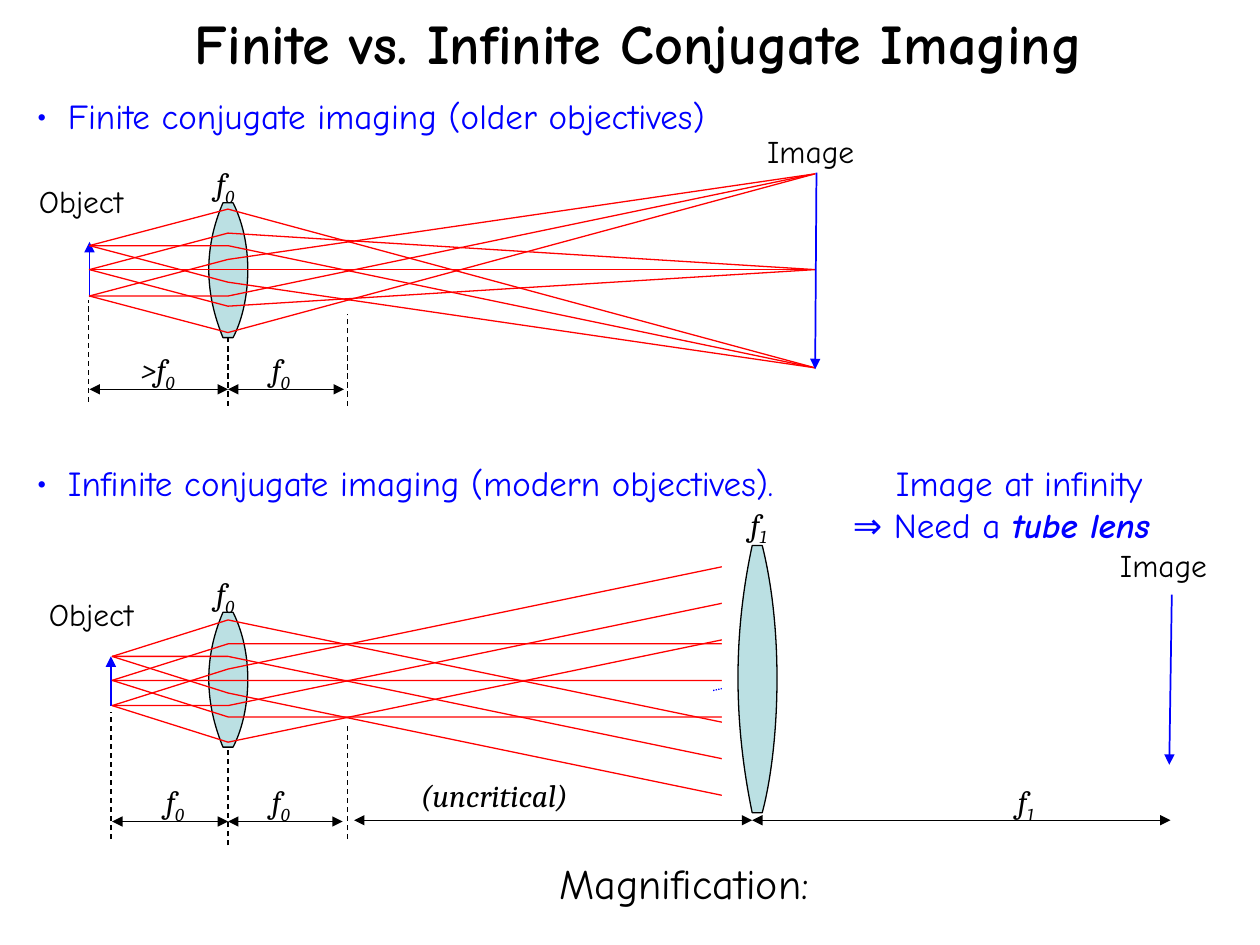
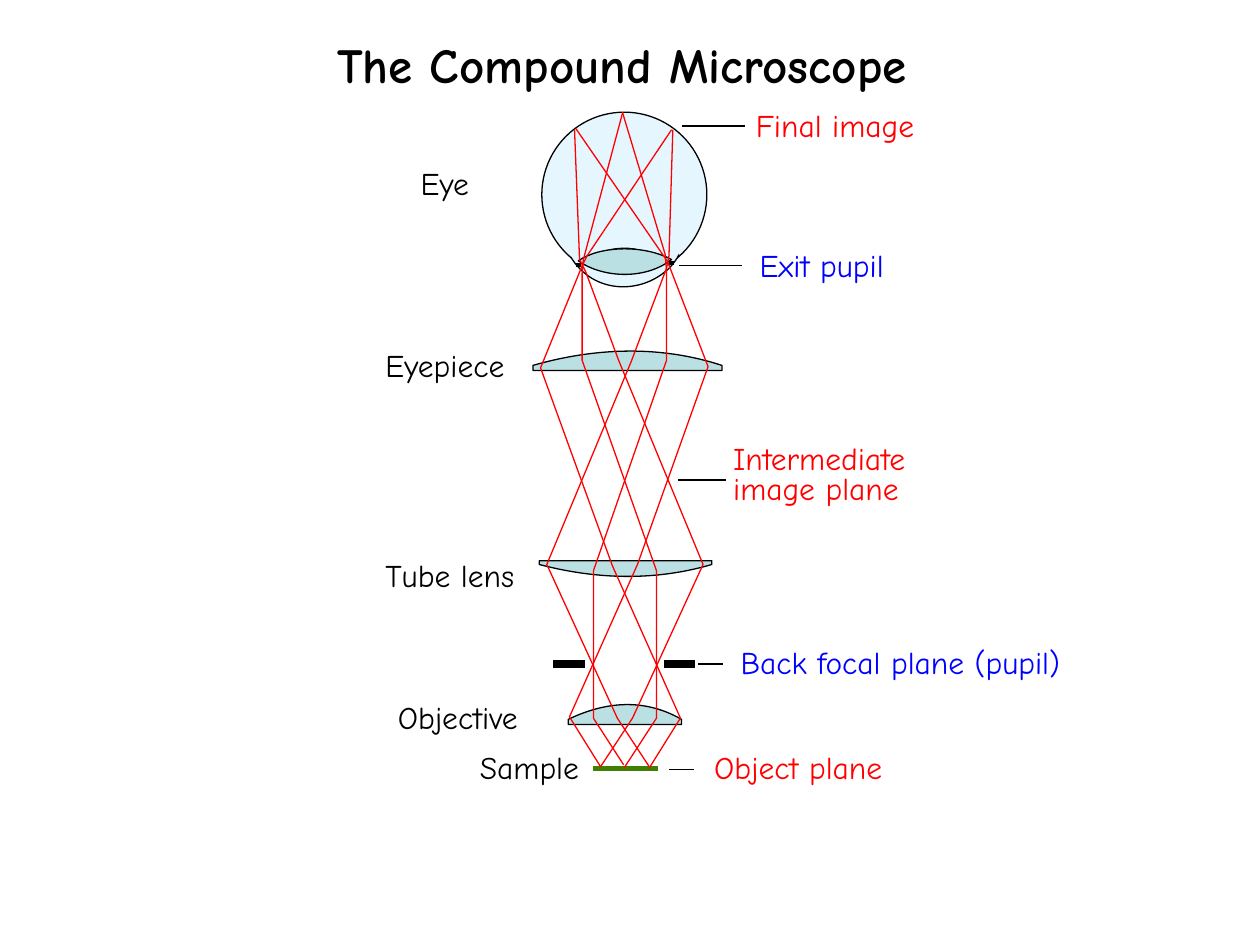
from copy import deepcopy
from pptx import Presentation
from pptx.dml.color import RGBColor
from pptx.enum.dml import MSO_LINE
from pptx.enum.shapes import MSO_CONNECTOR, MSO_SHAPE
from pptx.enum.text import MSO_ANCHOR, MSO_AUTO_SIZE, PP_ALIGN
from pptx.oxml.ns import qn
from pptx.util import Cm, Pt
from lxml import etree

COLORS = {"black": "000000", "white": "FFFFFF", "blue": "0000FF", "red": "FF0000",
          "green": "408000", "glass": "BBE0E3", "eye": "E6F6FF"}
FONT, MATH = "Comic Neue", "Cambria"
GRID = 2.54  # all coordinates count grid squares of this many centimetres


def grid(value):
    return Cm(GRID * value)


def rgb(name):
    return RGBColor.from_string(COLORS[name])


# Text
def add_run(p, text, size=18, font=FONT, color="black", bold=False, italic=False, sub=False):
    r = p.add_run()
    r.text = text
    r.font.size, r.font.name = Pt(size), font
    r.font.bold, r.font.italic = bold, italic
    r.font.color.rgb = rgb(color)
    if sub:
        r.font._element.set("baseline", "-25000")


def add_title(s, text, box, size):
    title = s.shapes.title
    title.left, title.top, title.width, title.height = map(grid, box)
    tf = title.text_frame
    tf.word_wrap, tf.auto_size = True, MSO_AUTO_SIZE.NONE
    tf.vertical_anchor = MSO_ANCHOR.MIDDLE
    p = tf.paragraphs[0]
    p.alignment = PP_ALIGN.CENTER
    add_run(p, text, size, bold=True)


def add_text(s, text, x, y, w, h=0.42, wrap=False, spacing=None, align=PP_ALIGN.LEFT,
             bullet=False, **fmt):
    tf = s.shapes.add_textbox(*map(grid, (x, y, w, h))).text_frame
    tf.word_wrap = wrap
    tf.auto_size = MSO_AUTO_SIZE.NONE if wrap else MSO_AUTO_SIZE.SHAPE_TO_FIT_TEXT
    p = tf.paragraphs[0]
    p.alignment = align
    if spacing:
        p.line_spacing = spacing
    if bullet:
        pPr = p._p.get_or_add_pPr()
        pPr.set("marL", str(grid(0.25)))
        pPr.set("indent", str(-grid(0.25)))
        etree.SubElement(pPr, qn("a:buFont")).set("typeface", FONT)
        etree.SubElement(pPr, qn("a:buChar")).set("char", "•")
    add_run(p, text, **fmt)
    return p


def add_label(s, text, x, y, w=1.08, **fmt):
    return add_text(s, text, x, y, w, 0.22, wrap=True, spacing=0.9, **fmt)


def add_focal(s, text, sub, x, y, w=0.5):
    p = add_label(s, text, x, y, w, font=MATH, italic=True)
    add_run(p, sub, font=MATH, italic=True, sub=True)


# Lines and outlines
def add_line(s, x1, y1, x2, y2, color="black", width=0.75, dash=None, head=False, tail=False):
    cn = s.shapes.add_connector(MSO_CONNECTOR.STRAIGHT, *map(grid, (x1, y1, x2, y2)))
    cn.line.color.rgb = rgb(color)
    cn.line.width = Pt(width)
    if dash:
        cn.line.dash_style = dash
    spPr = cn._element.spPr
    ln = spPr.find(qn("a:ln"))
    for end, wanted in (("a:headEnd", head), ("a:tailEnd", tail)):
        if wanted:
            etree.SubElement(ln, qn(end)).set("type", "triangle")
    etree.SubElement(spPr, qn("a:effectLst"))


def add_dimension(s, x1, x2, y):
    add_line(s, x1, y, x2, y, head=True, tail=True)


def add_guides(s, guides):
    for x, top, bottom in guides:
        add_line(s, x, bottom, x, top, dash=MSO_LINE.DASH)


def style(shape, fill, line):
    shape.shadow.inherit = False
    if fill:
        shape.fill.solid()
        shape.fill.fore_color.rgb = rgb(fill)
    else:
        shape.fill.background()
    if line:
        shape.line.color.rgb = rgb(line)
        shape.line.width = Pt(0.75)
    else:
        shape.line.fill.background()


def add_outline(s, start, steps, fill=None, line="black", close=False):
    """Each step is a point, or the three points of a Bezier curve."""
    builder = s.shapes.build_freeform(*map(grid, start))
    curved = [isinstance(step[0], tuple) for step in steps]
    for step, bent in zip(steps, curved):
        builder.add_line_segments([tuple(map(grid, point)) for point in (step if bent else [step])],
                                  close=False)
    if close:
        builder.add_line_segments([], close=True)
    shape = builder.convert_to_shape()
    style(shape, fill, line)

    # Join three line segments into one curve where the step is bent
    outline = next(shape._element.iter(qn("a:path")))
    segments = iter(outline.findall(qn("a:lnTo")))
    for bent in curved:
        first = next(segments)
        if bent:
            first.tag = qn("a:cubicBezTo")
            for _ in range(2):
                extra = next(segments)
                first.append(extra[0])
                outline.remove(extra)

    # An open outline is filled without a stroke along its chord
    if fill and not close:
        stroke = deepcopy(outline)
        stroke.set("fill", "none")
        outline.set("stroke", "0")
        etree.SubElement(outline, qn("a:close"))
        outline.addnext(stroke)


# Lenses and rays
def add_biconvex(s, x, top, height):
    def at(dx, part):
        return x + dx, top + part * height
    add_outline(s, at(-0.04, 1),
                [at(0.04, 1), (at(0.17, 0.77), at(0.22, 0.34), at(0.04, 0)), at(-0.04, 0),
                 (at(-0.2, 0.35), at(-0.18, 0.68), at(-0.04, 1))], "glass", close=True)


def add_planoconvex(s, flat_y, right, right_pull, left_pull, left):
    add_outline(s, left, [(left[0], flat_y), (right[0], flat_y), right,
                          (right_pull, left_pull, left)], "glass", close=True)


def add_fan(s, start, image, x_tube=None, drop=0):
    """A middle ray and two outer rays from an object point to its image point."""
    x_lens, spread = 1.81, 0.29

    def bends(offset):
        y = start[1] + offset
        return [(x_lens, y)] + ([(x_tube, y + drop)] if x_tube else [])
    add_outline(s, start, bends(0) + [image], line="red")
    add_outline(s, start, bends(-spread) + [image] + bends(spread)[::-1], line="red", close=True)


def conjugate_slide(prs):
    s = prs.slides.add_slide(prs.slide_layouts[5])
    add_title(s, "Finite vs. Infinite Conjugate Imaging", (0.82, 0, 8.5, 0.67), 32)
    heading = dict(size=20, color="blue")

    # Infinite conjugates: each fan leaves the lens parallel
    add_biconvex(s, 1.81, 4.86, 1.07)
    add_line(s, 0.88, 5.6, 0.88, 5.21, "blue", 1, tail=True)
    for y, y_image, drop in ((5.21, 6.07, 0.87), (5.4, 5.41, 0), (5.6, 4.72, -0.87)):
        add_fan(s, (0.89, y), (9.28, y_image), 6.01, drop)
    add_label(s, "Object", 0.29, 4.71)
    add_guides(s, [(0.88, 5.65, 6.66), (1.81, 5.94, 6.71), (2.76, 5.74, 6.66)])
    add_dimension(s, 1.81, 0.89, 6.52)
    add_dimension(s, 2.72, 1.81, 6.52)

    # Finite conjugates
    add_text(s, "Finite conjugate imaging (older objectives)", 0.19, 0.7, 5.84, 0.45,
             bullet=True, **heading)
    add_biconvex(s, 1.81, 1.61, 1.07)
    add_line(s, 0.71, 2.36, 0.71, 1.92, "blue", 1, tail=True)
    for y, y_image in ((1.95, 2.92), (2.14, 2.14), (2.35, 1.38)):
        add_fan(s, (0.71, y), (6.47, y_image))
    add_line(s, 6.48, 1.37, 6.47, 2.93, "blue", 1, tail=True)
    add_label(s, "Object", 0.21, 1.43)
    add_label(s, "Image", 5.99, 1.03)
    add_guides(s, [(0.7, 2.38, 3.19), (1.81, 2.68, 3.22), (2.76, 2.49, 3.22)])
    add_dimension(s, 1.81, 0.71, 3.09)
    add_dimension(s, 2.73, 1.81, 3.09)
    add_focal(s, ">f", "0", 1.02, 2.73, 0.67)

    # Panel that ends the rays before the tube lens
    add_line(s, 5.66, 5.48, 9.31, 4.71, "blue", dash=MSO_LINE.ROUND_DOT)
    panel = s.shapes.add_shape(MSO_SHAPE.RECTANGLE, *map(grid, (5.73, 3.84, 4.08, 2.8)))
    style(panel, "white", None)

    # Tube lens
    add_text(s, "Image at infinity", 6.91, 3.61, 2.36, 0.45, align=PP_ALIGN.CENTER, **heading)
    add_text(s, "Infinite conjugate imaging (modern objectives).", 0.19, 3.61, 6.43, 0.45,
             bullet=True, **heading)
    p = add_text(s, "⇒ Need a ", 6.67, 3.95, 2.74, 0.43, **heading)
    add_run(p, "tube lens", bold=True, italic=True, **heading)
    add_biconvex(s, 6.01, 4.33, 2.12)
    add_label(s, "Image", 8.79, 4.32)
    add_line(s, 9.3, 4.72, 9.28, 6.07, "blue", 1, tail=True)
    add_dimension(s, 9.29, 5.97, 6.51)
    add_dimension(s, 5.97, 2.81, 6.51)
    add_text(s, "(uncritical)", 3.24, 6.14, 1.62, 0.38, wrap=True, spacing=0.9,
             font=MATH, italic=True)
    add_text(s, "Magnification:", 4.34, 6.76, 2.26, 0.5, size=24)

    # Focal lengths
    for sub, x, y in (("0", 1.62, 1.26), ("0", 2.06, 2.73), ("0", 1.62, 4.51),
                      ("0", 1.22, 6.16), ("0", 2.06, 6.16), ("1", 5.86, 3.96),
                      ("1", 7.98, 6.16)):
        add_focal(s, "f", sub, x, y)


def microscope_slide(prs):
    s = prs.slides.add_slide(prs.slide_layouts[5])
    add_title(s, "The Compound Microscope", (1.99, -0.12, 5.89, 1.25), 28)

    # Eye: ball, iris, cornea and lens
    eyeball = s.shapes.add_shape(MSO_SHAPE.OVAL, *map(grid, (4.3, 0.89, 1.31, 1.31)))
    style(eyeball, "eye", "black")
    add_outline(s, (4.61, 2.11), [((4.8, 1.93), (5.09, 1.92), (5.28, 2.1))])
    add_outline(s, (4.53, 2.04), [((4.55, 2.07), (4.57, 2.1), (4.6, 2.13)),
                                  ((4.79, 2.33), (5.11, 2.32), (5.31, 2.13)),
                                  ((5.34, 2.1), (5.37, 2.06), (5.39, 2.02))], "eye")
    add_outline(s, (4.59, 2.07), [((4.76, 1.95), (5.11, 1.94), (5.33, 2.06)),
                                  ((5.11, 2.23), (4.77, 2.2), (4.59, 2.07))],
                "glass", close=True)

    # Eyepiece, tube lens and objective
    add_planoconvex(s, 2.94, (5.73, 2.9), (5.18, 2.72), (4.65, 2.78), (4.23, 2.9))
    add_planoconvex(s, 4.45, (5.65, 4.48), (5.14, 4.63), (4.66, 4.58), (4.28, 4.48))
    add_planoconvex(s, 5.75, (5.41, 5.71), (5.08, 5.52), (4.76, 5.59), (4.51, 5.71))

    # Sample, pupil stops and iris edges
    add_line(s, 4.71, 6.1, 5.22, 6.1, "green", 3)
    for x in (4.39, 5.27):
        add_line(s, x, 5.27, x + 0.25, 5.27, width=4.5)
    for x, y in ((4.57, 2.1), (5.31, 2.09)):
        add_line(s, x, y, x + 0.04, y, width=2.25)

    # Rays from the sample up to the retina
    for start, *ray in (
        [(4.95, 6.07), (4.71, 5.7), (4.71, 4.53), (5.29, 2.86), (5.29, 2.15), (5.28, 2.02), (4.94, 0.89)],
        [(4.95, 6.1), (5.21, 5.7), (5.21, 4.53), (4.62, 2.86), (4.62, 2.17), (4.63, 2.06), (4.94, 0.9)],
        [(5.15, 6.08), (4.9, 5.7), (4.34, 4.48), (5.01, 2.87), (5.29, 2.13), (5.31, 2.03), (5.34, 1.03)],
        [(5.15, 6.1), (5.4, 5.7), (4.86, 4.49), (4.29, 2.92), (4.62, 2.11), (4.66, 2.03), (5.33, 1.03)],
        [(4.77, 6.08), (5.02, 5.7), (5.58, 4.48), (4.91, 2.86), (4.65, 2.16), (4.6, 2.06), (4.56, 1.03)],
        [(4.77, 6.09), (4.52, 5.69), (5.06, 4.48), (5.62, 2.91), (5.3, 2.08), (5.26, 2.02), (4.57, 1.02)],
    ):
        add_outline(s, start, ray, line="red")

    # Part names on the left, plane names on the right
    for text, x, y, w, color in (("Eye", 3.24, 1.25, 0.6, "black"),
                                 ("Eyepiece", 2.96, 2.7, 1.19, "black"),
                                 ("Tube lens", 2.96, 4.36, 1.3, "black"),
                                 ("Objective", 3.06, 5.49, 1.3, "black"),
                                 ("Sample", 3.71, 5.89, 1.01, "black"),
                                 ("Back focal plane (pupil)", 5.78, 5.05, 2.9, "blue"),
                                 ("Object plane", 5.57, 5.89, 1.7, "red")):
        add_text(s, text, x, y, w, color=color)
    add_text(s, "Final image", 5.9, 0.79, 1.75, wrap=True, color="red")
    add_text(s, "Exit pupil", 5.93, 1.9, 1.75, wrap=True, color="blue")
    add_text(s, "Intermediate image plane", 5.72, 3.49, 1.75, 0.61, wrap=True, spacing=0.8,
             color="red")

    # Leader lines
    for x1, x2, y in ((5.41, 5.91, 1), (5.39, 5.89, 2.11), (5.38, 5.76, 3.81),
                      (5.54, 5.74, 5.27), (5.31, 5.51, 6.11)):
        add_line(s, x1, y, x2, y)


def main():
    prs = Presentation()
    prs.slide_width, prs.slide_height = Cm(25.4), Cm(19.05)
    conjugate_slide(prs)
    microscope_slide(prs)
    prs.save("out.pptx")


if __name__ == "__main__":
    main()
